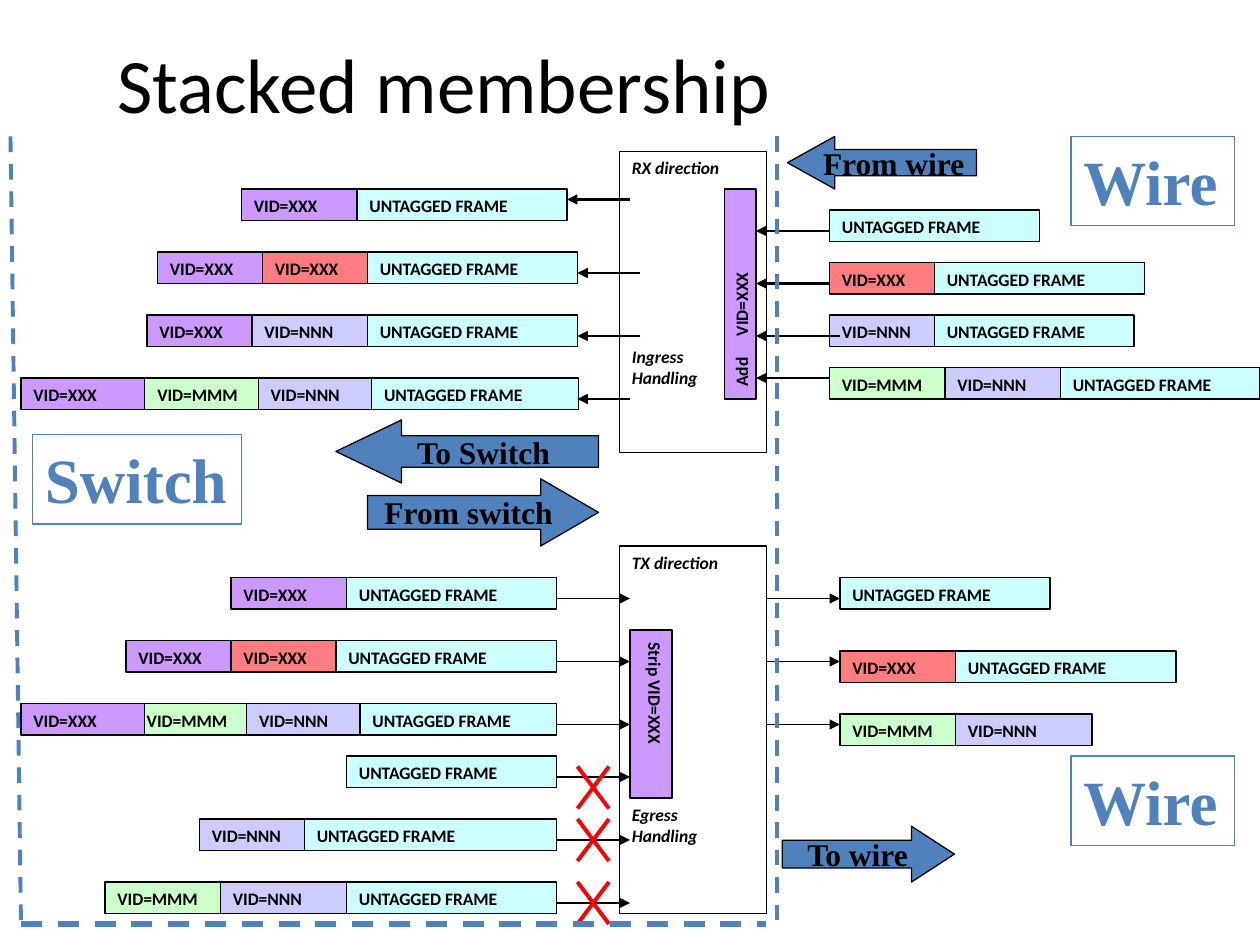
import pptx
import pptx.util
import pptx.dml.color
import pptx.enum.dml
import pptx.enum.shapes
import pptx.enum.text
import pptx.oxml.ns
from lxml import etree

RGBColor = pptx.dml.color.RGBColor
BLACK = RGBColor(0x00, 0x00, 0x00)
WHITE = RGBColor(0xFF, 0xFF, 0xFF)
BLUE = RGBColor(0x4F, 0x81, 0xBD)
RED = RGBColor(0xFF, 0x00, 0x00)
PURPLE = RGBColor(0xCC, 0x99, 0xFF)
CORAL = RGBColor(0xFF, 0x7C, 0x80)
LAVENDER = RGBColor(0xCC, 0xCC, 0xFF)
GREEN = RGBColor(0xCC, 0xFF, 0xCC)
CYAN = RGBColor(0xCC, 0xFF, 0xFF)

SHAPE = pptx.enum.shapes.MSO_SHAPE
ALIGN = pptx.enum.text.PP_ALIGN
ANCHOR = pptx.enum.text.MSO_ANCHOR
SANS, SERIF = "Calibri", "Times New Roman"

# The slide is a grid of 120 columns by 90 rows, 12 to the inch
CELLS_PER_INCH = 12
FRAME_HEIGHT = 3

TITLE = "Stacked membership"

FIELDS = {
    "stack": ("VID=XXX", PURPLE),
    "same": ("VID=XXX", CORAL),
    "nnn": ("VID=NNN", LAVENDER),
    "mmm": ("VID=MMM", GREEN),
    "data": ("UNTAGGED FRAME", CYAN),
}

# Frames: row, then fields as (kind, column, width), back to front
FRAMES = [
    # Received, wire side
    (20, [("data", 79, 20)]),
    (25, [("same", 79, 15.6), ("data", 89, 20)]),
    (30, [("nnn", 79, 13), ("data", 89, 19)]),
    (35, [("mmm", 79, 13), ("nnn", 90, 13), ("data", 101, 19)]),
    # Received, switch side
    (18, [("stack", 23, 12), ("data", 34, 20)]),
    (24, [("stack", 15, 12), ("same", 25, 12), ("data", 35, 20)]),
    (30, [("stack", 14, 12), ("nnn", 24, 12), ("data", 35, 20)]),
    (36, [("mmm", 13.8, 12.7), ("nnn", 24.6, 12.7), ("data", 35.4, 19.7),
          ("stack", 2, 11.8)]),
    # Sent, switch side
    (55, [("stack", 22, 12), ("data", 33, 20)]),
    (61, [("stack", 12, 12), ("same", 22, 14.3), ("data", 32, 21)]),
    (67, [("mmm", 12.8, 12.7), ("nnn", 23.5, 12.7), ("data", 34.3, 18.7),
          ("stack", 2, 11.8)]),
    (72, [("data", 33, 20)]),
    (78, [("nnn", 19, 13), ("data", 29, 24)]),
    (84, [("mmm", 10, 13), ("nnn", 21, 13), ("data", 33, 20)]),
    # Sent, wire side
    (55, [("data", 80, 20)]),
    (62, [("same", 80, 14.3), ("data", 91, 21)]),
    (68, [("mmm", 80, 13), ("nnn", 91, 13)]),
]

# Handling boxes: heading, footer lines, gap in points, place
HANDLERS = [
    ("RX direction", ["Ingress", "Handling"], 96, (59, 14.4, 14, 28.7)),
    ("TX direction", ["Egress", "Handling"], 132, (59, 52, 14, 35)),
]

# Tag operations: text, place before turning, rotation
OPERATIONS = [
    ("Strip VID=XXX", (54, 66, 16, 4), 90),
    ("Add\tVID=XXX", (60.5, 26.5, 20, 3), 270),
]

# Flow arrows: line width, start column, end column, rows
FLOWS = [
    (1.5, 79, 72, [22, 27, 36]),
    (1.5, 80, 72, [32]),
    (1.5, 60, 54, [19]),
    (1.5, 61, 55, [26, 32]),
    (1.5, 60, 55, [38]),
    (0.75, 53, 60, [57, 63, 69, 74, 80, 86]),
    (0.75, 73, 80, [57, 63, 69]),
]

DROP_ROWS = [73, 78, 84]
DROP_LEFT, DROP_RIGHT, DROP_HEIGHT = 55, 58, 4

# Borders: start, end, line width
BORDERS = [
    ((2, 88), (73, 88), 3),
    ((74, 13), (74, 88), 2.25),
    ((1, 13), (2, 88), 2.25),
]

SIGNS = [
    ("Switch", (3.1, 41.4, 19.9, 8.5)),
    ("Wire", (102, 72, 15.6, 8.5)),
    ("Wire", (102, 13, 15.6, 8.5)),
]

# Direction arrows: text, preset, place, head length
DIRECTIONS = [
    ("To Switch", SHAPE.LEFT_ARROW, (32, 40, 25, 6), 1.04),
    ("From switch", SHAPE.RIGHT_ARROW, (35, 45.6, 22, 6.4), 0.86),
    ("To wire", SHAPE.RIGHT_ARROW, (74.5, 78.7, 16.4, 5.3), 0.77),
    ("From wire", SHAPE.LEFT_ARROW, (75, 13, 18, 5), 0.9),
]

deck = pptx.Presentation()
deck.slide_width = pptx.util.Inches(10)
deck.slide_height = pptx.util.Inches(7.5)
page = deck.slides.add_slide(deck.slide_layouts[6])


def grid(*cells):
    return [pptx.util.Inches(cell / CELLS_PER_INCH) for cell in cells]


def write(box, text, size, font=SANS, color=BLACK, bold=True, italic=False,
          align=ALIGN.LEFT, anchor=ANCHOR.TOP, wrap=True):
    frame = box.text_frame
    frame.text = text
    frame.word_wrap = wrap
    frame.vertical_anchor = anchor
    for para in frame.paragraphs:
        para.alignment = align
        for span in para.runs:
            span.font.size = pptx.util.Pt(size)
            span.font.name = font
            span.font.bold = bold
            span.font.italic = italic
            span.font.color.rgb = color


def add_box(place, fill=None, line=BLACK, preset=SHAPE.RECTANGLE):
    box = page.shapes.add_shape(preset, *grid(*place))
    box.shadow.inherit = False
    if fill is None:
        box.fill.background()
    else:
        box.fill.solid()
        box.fill.fore_color.rgb = fill
    box.line.color.rgb = line
    box.line.width = pptx.util.Pt(0.75)
    return box


def add_line(start, end, color, width, arrow=False, dashed=False):
    line = page.shapes.add_connector(
        pptx.enum.shapes.MSO_CONNECTOR.STRAIGHT, *grid(*start, *end))
    line.line.color.rgb = color
    line.line.width = pptx.util.Pt(width)
    if dashed:
        line.line.dash_style = pptx.enum.dml.MSO_LINE.DASH
    if arrow:
        etree.SubElement(line.line._get_or_add_ln(),
                         pptx.oxml.ns.qn("a:tailEnd"), type="triangle")
    etree.SubElement(line._element.spPr, pptx.oxml.ns.qn("a:effectLst"))


# Title
title = page.shapes.add_textbox(*grid(10, 0.4, 106, 15))
write(title, TITLE, 44, bold=False, anchor=ANCHOR.MIDDLE)

# Handling boxes
for heading, footer, gap, place in HANDLERS:
    box = add_box(place, WHITE)
    write(box, "\n".join([heading, *footer]), 10, italic=True)
    box.text_frame.paragraphs[1].space_before = pptx.util.Pt(gap)

# Frames
for row, fields in FRAMES:
    for kind, column, width in fields:
        label, color = FIELDS[kind]
        write(add_box((column, row, width, FRAME_HEIGHT), color), label, 10)

# Tag operations, with a tab stop after the verb
for text, place, rotation in OPERATIONS:
    box = add_box(place, PURPLE)
    box.rotation = rotation
    write(box, text, 10)
    if "\t" in text:
        properties = box.text_frame.paragraphs[0]._p.get_or_add_pPr()
        stops = etree.SubElement(properties, pptx.oxml.ns.qn("a:tabLst"))
        etree.SubElement(stops, pptx.oxml.ns.qn("a:tab"),
                         pos=str(pptx.util.Inches(0.4)), algn="l")

# Flow arrows
for width, start, end, rows in FLOWS:
    for row in rows:
        add_line((start, row), (end, row), BLACK, width, arrow=True)

# Crosses on dropped frames
for top in DROP_ROWS:
    bottom = top + DROP_HEIGHT
    add_line((DROP_RIGHT, top), (DROP_LEFT, bottom), RED, 2.25)
    add_line((DROP_LEFT, top), (DROP_RIGHT, bottom), RED, 2.25)

# Borders
for start, end, width in BORDERS:
    add_line(start, end, BLUE, width, dashed=True)

# Signs and direction arrows
for text, place in SIGNS:
    write(add_box(place, line=BLUE), text, 36, SERIF, BLUE, wrap=False)
for text, preset, place, head in DIRECTIONS:
    arrow = add_box(place, BLUE, preset=preset)
    arrow.adjustments[0] = 0.5
    arrow.adjustments[1] = head
    write(arrow, text, 18, SERIF, align=ALIGN.CENTER,
          anchor=ANCHOR.MIDDLE, wrap=False)

deck.save("out.pptx")
